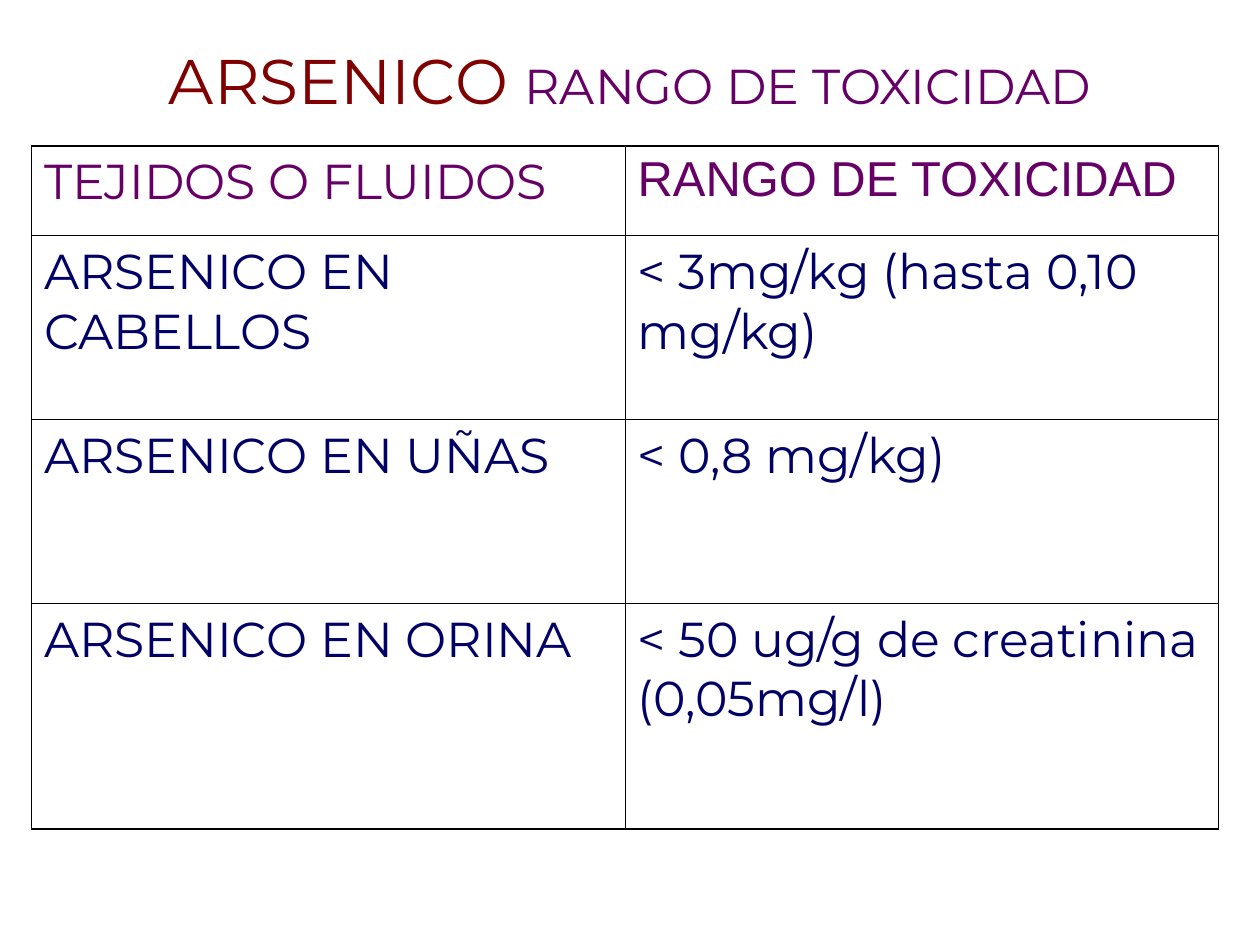
from lxml.etree import SubElement
from pptx import Presentation
from pptx.dml.color import RGBColor
from pptx.enum.text import MSO_ANCHOR, PP_ALIGN
from pptx.oxml.ns import qn
from pptx.util import Inches, Pt

MAROON = RGBColor(0x80, 0x00, 0x00)
PURPLE = RGBColor(0x66, 0x00, 0x66)
NAVY = RGBColor(0x00, 0x00, 0x66)
BLACK = RGBColor(0x00, 0x00, 0x00)

BODY_FONT = "Montserrat"
HEADER_FONTS = (BODY_FONT, "Arial")
THICK, THIN = Pt(1.08), Pt(0.45)

TITLE = [("ARSENICO ", 36, MAROON), ("RANGO DE TOXICIDAD", 28, PURPLE)]
ROWS = [
    ("TEJIDOS O FLUIDOS", "RANGO DE TOXICIDAD"),
    ("ARSENICO EN CABELLOS", "< 3mg/kg (hasta 0,10 mg/kg)"),
    ("ARSENICO EN UÑAS", "< 0,8 mg/kg)"),
    ("ARSENICO EN ORINA", "< 50 ug/g de creatinina (0,05mg/l)"),
]
ROW_HEIGHTS = (0.71, 1.46, 1.46, 1.79)
COLUMN_WIDTH = 4.71


def add_run(paragraph, text, size, color, font_name):
    run = paragraph.add_run()
    run.text = text
    run.font.size = Pt(size)
    run.font.name = font_name
    run.font.bold = False
    run.font.color.rgb = color


def set_borders(cell, widths):
    properties = cell._tc.get_or_add_tcPr()
    for tag, width in widths.items():
        line = SubElement(properties, qn(f"a:{tag}"), w=str(int(width)))
        fill = SubElement(line, qn("a:solidFill"))
        SubElement(fill, qn("a:srgbClr"), val=str(BLACK))


def add_title(slide):
    box = slide.shapes.add_textbox(Inches(0.75), Inches(0.17), Inches(8.5), Inches(0.92))
    frame = box.text_frame
    frame.word_wrap = True
    frame.vertical_anchor = MSO_ANCHOR.MIDDLE
    paragraph = frame.paragraphs[0]
    paragraph.alignment = PP_ALIGN.CENTER
    for text, size, color in TITLE:
        add_run(paragraph, text, size, color, BODY_FONT)


def add_toxicity_table(slide):
    row_count, column_count = len(ROWS), len(ROWS[0])
    table = slide.shapes.add_table(
        row_count, column_count, Inches(0.25), Inches(1.16),
        Inches(COLUMN_WIDTH * column_count), Inches(sum(ROW_HEIGHTS)),
    ).table
    table.first_row = False
    table.horz_banding = False
    for column in table.columns:
        column.width = Inches(COLUMN_WIDTH)
    for row_index, (texts, height) in enumerate(zip(ROWS, ROW_HEIGHTS)):
        table.rows[row_index].height = Inches(height)
        for column_index, text in enumerate(texts):
            cell = table.cell(row_index, column_index)
            header = row_index == 0
            font_name = HEADER_FONTS[column_index] if header else BODY_FONT
            color = PURPLE if header else NAVY
            add_run(cell.text_frame.paragraphs[0], text, 28, color, font_name)
            set_borders(cell, {
                "lnL": THICK if column_index == 0 else THIN,
                "lnR": THICK if column_index == column_count - 1 else THIN,
                "lnT": THICK if header else THIN,
                "lnB": THICK if row_index == row_count - 1 else THIN,
            })
            cell.fill.background()


def main():
    presentation = Presentation()
    presentation.slide_width = Inches(10)
    presentation.slide_height = Inches(7.5)
    slide = presentation.slides.add_slide(presentation.slide_layouts[6])
    add_title(slide)
    add_toxicity_table(slide)
    presentation.save("out.pptx")


if __name__ == "__main__":
    main()
